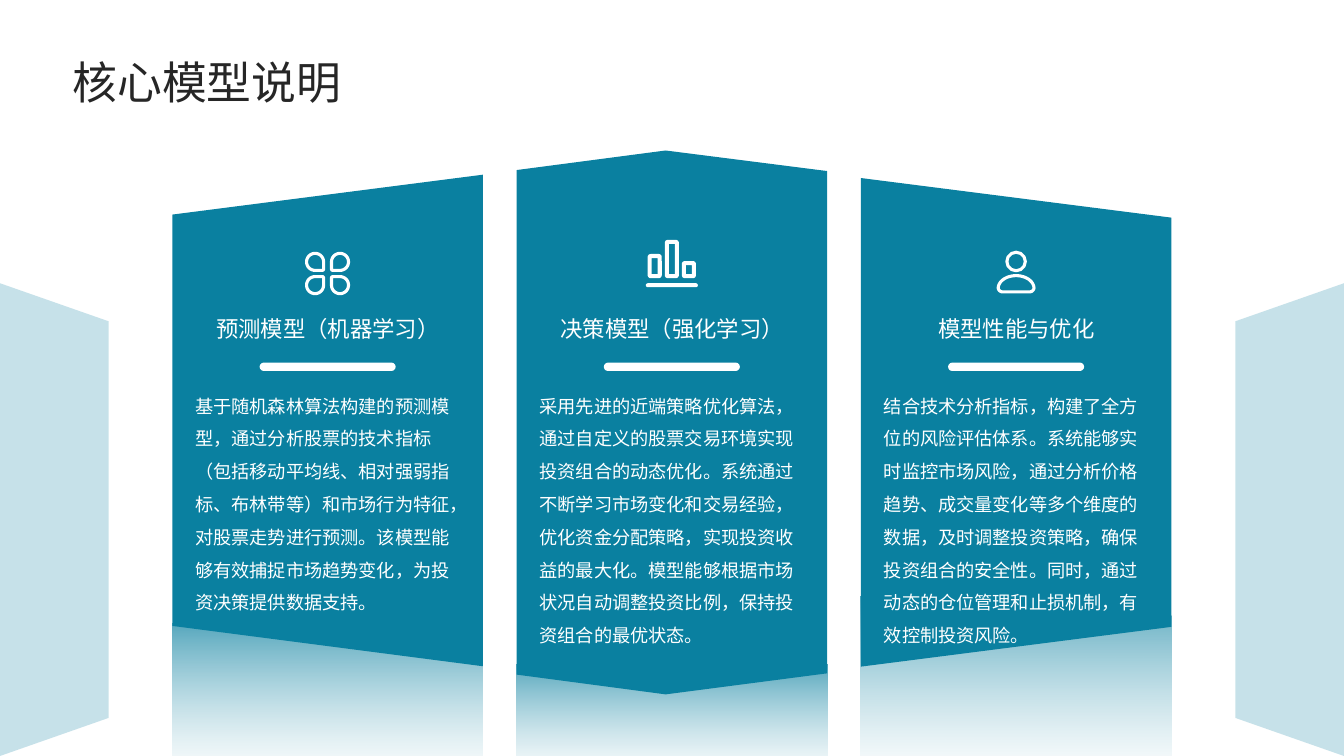
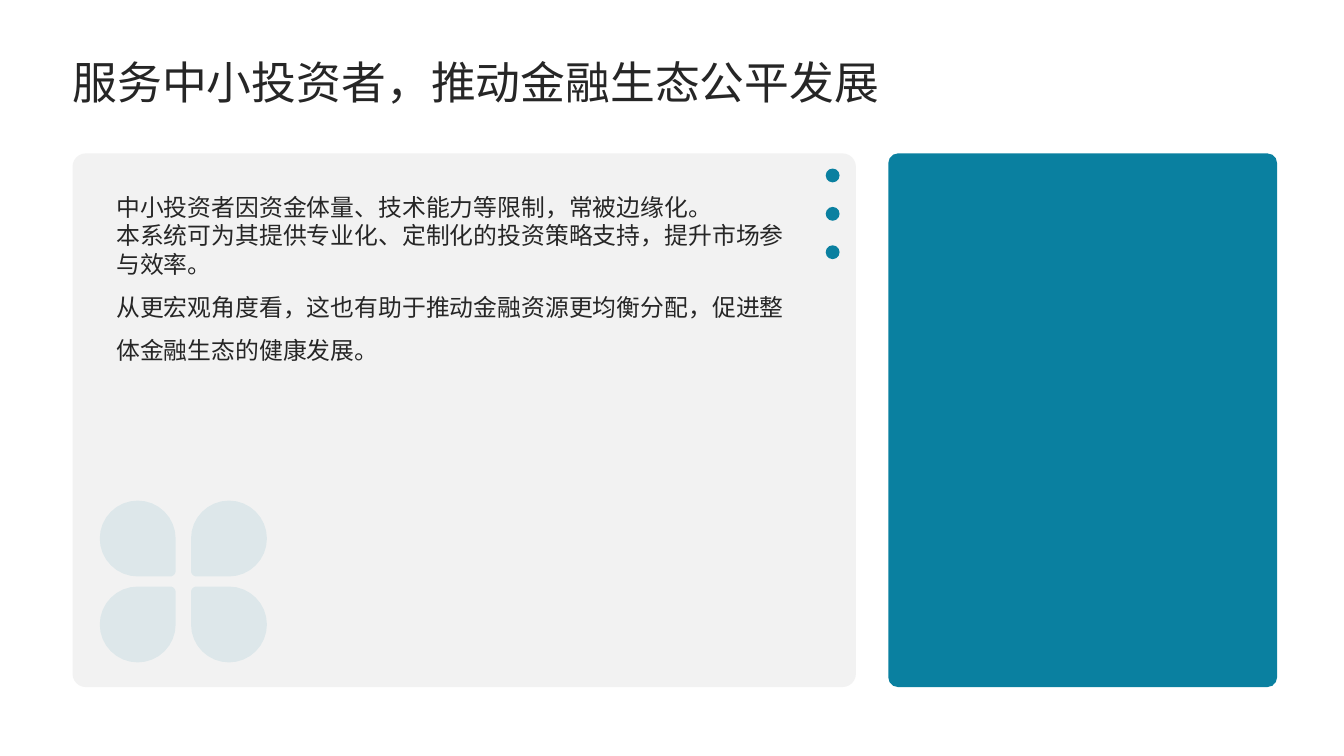
from math import cos, radians, sin

from lxml import etree
from pptx import Presentation
from pptx.dml.color import RGBColor
from pptx.enum import shapes, text
from pptx.oxml.ns import qn
from pptx.util import Pt

TEAL = RGBColor(0x0A, 0x80, 0xA0)
WHITE = RGBColor(0xFF, 0xFF, 0xFF)
GREY = RGBColor(0xF2, 0xF2, 0xF2)
INK = RGBColor(0x26, 0x26, 0x26)
FONT = "Noto Sans CJK SC"
SLIDE_W, SLIDE_H = 960, 540
TITLE_BOX = (51.8, 38.2, 855.4, 36.7)
TITLE_ONLY, TITLE_AND_BODY = 5, 1
RECT = shapes.MSO_SHAPE.ROUNDED_RECTANGLE
OVAL = shapes.MSO_SHAPE.OVAL

# Card outlines are (share of card width, y) pairs.
CARD_LEFT, CARD_STEP, CARD_W = 123.1, 245.9, 221.8
TEXT_INSET, TEXT_W = 16.5, 189.4
RULE_W, RULE_H, RULE_TOP = 97.2, 6, 259
FADE_BOTTOM = 557.3
CARDS = [
    {
        "title": "预测模型（机器学习）",
        "body": "基于随机森林算法构建的预测模型，通过分析股票的技术指标（包括移动平均线、相对强弱指标、布林带等）"
                "和市场行为特征，对股票走势进行预测。该模型能够有效捕捉市场趋势变化，为投资决策提供数据支持。",
        "panel": [(0, 153.3), (1, 124.8), (1, 475.9), (0, 447.1)],
        "fade": [(0, 445.7), (1, 445.7)],
        "icon": "petals",
    },
    {
        "title": "决策模型（强化学习）",
        "body": "采用先进的近端策略优化算法，通过自定义的股票交易环境实现投资组合的动态优化。系统通过不断学习市场变化"
                "和交易经验，优化资金分配策略，实现投资收益的最大化。模型能够根据市场状况自动调整投资比例，"
                "保持投资组合的最优状态。",
        "panel": [(0, 121.5), (0.48, 107.5), (1, 122.2), (1, 481), (0.48, 496), (0, 481.9)],
        "fade": [(0, 474.5), (1, 474.5)],
        "icon": "chart",
    },
    {
        "title": "模型性能与优化",
        "body": "结合技术分析指标，构建了全方位的风险评估体系。系统能够实时监控市场风险，通过分析价格趋势、"
                "成交量变化等多个维度的数据，及时调整投资策略，确保投资组合的安全性。同时，通过动态的仓位管理"
                "和止损机制，有效控制投资风险。",
        "panel": [(0, 127.2), (1, 155.5), (1, 447.8), (0, 476.2)],
        "fade": [(0, 426.2), (0.48, 426.2), (1, 440)],
        "icon": "person",
    },
]
SIDE_WING = [(0, 202.3), (77.6, 229.5), (77.6, 512.8), (0, 540)]

SERVICE_TITLE = "服务中小投资者，推动金融生态公平发展"
SERVICE_TEXT = [  # text, line spacing
    ("中小投资者因资金体量、技术能力等限制，常被边缘化。", 1.0),
    ("本系统可为其提供专业化、定制化的投资策略支持，提升市场参与效率。", 1.0),
    ("从更宏观角度看，这也有助于推动金融资源更均衡分配，促进整体金融生态的健康发展。", 1.5),
]
SERVICE_PANELS = [((51.8, 109.6, 559.6, 381.2), GREY), ((634.5, 109.6, 277.7, 381.2), TEAL)]
DOT_LEFT, DOT_TOP, DOT_STEP, DOT_SIZE, DOT_COUNT = 589.8, 120.4, 27.4, 9.9, 3


def points(lengths):
    return [Pt(length) for length in lengths]


def set_alpha(color_parent, percent):
    color = next(color_parent.iter(qn("a:srgbClr")))
    etree.SubElement(color, qn("a:alpha")).set("val", str(percent * 1000))


def paint(shape, fill=None, alpha=None, line=None, weight=2.2):
    shape.shadow.inherit = False
    if fill is None:
        shape.fill.background()
    else:
        shape.fill.solid()
        shape.fill.fore_color.rgb = fill
        if alpha:
            set_alpha(shape._element.spPr, alpha)
    if line is None:
        shape.line.fill.background()
    else:
        shape.line.color.rgb = line
        shape.line.width = Pt(weight)
    return shape


def add_preset(page, kind, area, rounding=None, **look):
    shape = page.shapes.add_shape(kind, *points(area))
    if rounding is not None:
        shape.adjustments[0] = rounding
    return paint(shape, **look)


def add_outline(page, corners, **look):
    start, *rest = [points(corner) for corner in corners]
    builder = page.shapes.build_freeform(*start, scale=1.0)
    builder.add_line_segments(rest, close=True)
    return paint(builder.convert_to_shape(), **look)


def arc(cx, cy, rx, ry, start, end, steps=24):
    """Points along an ellipse, in clockwise degrees from the right."""
    angles = [radians(start + (end - start) * i / steps) for i in range(steps + 1)]
    return [(cx + rx * cos(a), cy + ry * sin(a)) for a in angles]


def add_petals(page, cx, cy, dx, dy, radius, corner, **look):
    """Four discs, each with a nearly square corner facing the centre."""
    inner = radius - corner
    petal = arc(0, 0, radius, radius, 90, 360) + arc(inner, inner, corner, corner, 0, 90, 6)
    for sx in (-1, 1):
        for sy in (-1, 1):
            add_outline(page, [(cx + sx * (dx - x), cy + sy * (dy - y)) for x, y in petal], **look)


def add_petal_icon(page, cx):
    add_petals(page, cx, 195.4, 8.9, 8.3, 6.1, 1, line=WHITE)


def add_chart_icon(page, cx):
    bar_w, step, bottom = 7.2, 12.2, 197.3
    for i, top in enumerate((182.9, 172.8, 187.9)):
        left = cx + (i - 1) * step - bar_w / 2
        add_preset(page, RECT, (left, top, bar_w, bottom - top), 0.1, line=WHITE, weight=2.9)
    add_preset(page, RECT, (cx - 18.6, 202.3, 37.2, 2.9), 0.5, fill=WHITE)


def add_person_icon(page, cx):
    head = 13.2
    add_preset(page, OVAL, (cx - head / 2, 180.2, head, head), line=WHITE)
    shoulders = (arc(cx, 206, 12.8, 9.1, 180, 360)
                 + arc(cx + 9.7, 205.4, 3.1, 3.1, 0, 90, 8)
                 + arc(cx - 9.7, 205.4, 3.1, 3.1, 90, 180, 8))
    add_outline(page, shoulders, line=WHITE)


ICONS = {"petals": add_petal_icon, "chart": add_chart_icon, "person": add_person_icon}


def write(box, lines, size, color, align=text.PP_ALIGN.LEFT, anchor=text.MSO_ANCHOR.TOP):
    """Fill a text shape with (text, line spacing) paragraphs."""
    frame = box.text_frame
    frame.word_wrap = True
    frame.auto_size = text.MSO_AUTO_SIZE.NONE
    frame.vertical_anchor = anchor
    frame.margin_left = frame.margin_top = frame.margin_right = frame.margin_bottom = 0
    for i, (words, spacing) in enumerate(lines):
        para = frame.add_paragraph() if i else frame.paragraphs[0]
        para.alignment = align
        para.line_spacing = spacing
        para.space_before = para.space_after = Pt(0)
        if box.is_placeholder:
            props = para._p.get_or_add_pPr()
            props.set("marL", "0")
            props.set("indent", "0")
            etree.SubElement(props, qn("a:buNone"))
        span = para.add_run()
        span.text = words
        span.font.size = Pt(size)
        span.font.color.rgb = color
        span.font.name = FONT
        etree.SubElement(span._r.get_or_add_rPr(), qn("a:ea")).set("typeface", FONT)


def place(box, area):
    box.left, box.top, box.width, box.height = points(area)
    return box


def add_page(deck, layout, title):
    page = deck.slides.add_slide(deck.slide_layouts[layout])
    write(place(page.shapes.title, TITLE_BOX), [(title, 1.1)], 32, INK,
          anchor=text.MSO_ANCHOR.MIDDLE)
    return page


def add_fade(page, corners):
    shape = add_outline(page, corners)
    shape.fill.gradient()
    shape.fill.gradient_angle = 270
    for stop, color, alpha in zip(shape.fill.gradient_stops, (TEAL, WHITE), (69, 35)):
        stop.color.rgb = color
        set_alpha(stop._gs, alpha)


def add_card(page, card, left):
    def across(pairs):
        return [(left + share * CARD_W, y) for share, y in pairs]

    center = left + CARD_W / 2
    add_fade(page, across(card["fade"] + [(1, FADE_BOTTOM), (0, FADE_BOTTOM)]))
    add_outline(page, across(card["panel"]), fill=TEAL)
    ICONS[card["icon"]](page, center)
    add_preset(page, RECT, (center - RULE_W / 2, RULE_TOP, RULE_W, RULE_H), 0.5, fill=WHITE)
    text_left = left + TEXT_INSET
    heading = page.shapes.add_textbox(*points((text_left, 200.2, TEXT_W, 43.9)))
    write(heading, [(card["title"], 1.3)], 16, WHITE,
          align=text.PP_ALIGN.CENTER, anchor=text.MSO_ANCHOR.BOTTOM)
    body = page.shapes.add_textbox(*points((text_left, 274.3, TEXT_W, 165)))
    write(body, [(card["body"], 1.5)], 13, WHITE)


def add_models_page(deck):
    page = add_page(deck, TITLE_ONLY, "核心模型说明")
    for i, card in enumerate(CARDS):
        add_card(page, card, CARD_LEFT + i * CARD_STEP)
    add_outline(page, SIDE_WING, fill=TEAL, alpha=23)
    add_outline(page, [(SLIDE_W - x, y) for x, y in SIDE_WING], fill=TEAL, alpha=23)


def add_service_page(deck):
    page = add_page(deck, TITLE_AND_BODY, SERVICE_TITLE)
    body = page.placeholders[1]
    for area, color in SERVICE_PANELS:
        add_preset(page, RECT, area, 0.025, fill=color)
    add_petals(page, 131, 415.4, 32.6, 30.7, 27.1, 4, fill=TEAL, alpha=9)
    write(place(body, (83, 137.5, 488.2, 331.9)), SERVICE_TEXT, 17, INK)
    page.shapes._spTree.append(body._element)  # bring the text in front of its panel
    for i in range(DOT_COUNT):
        add_preset(page, OVAL, (DOT_LEFT, DOT_TOP + i * DOT_STEP, DOT_SIZE, DOT_SIZE), fill=TEAL)


def main():
    deck = Presentation()
    deck.slide_width, deck.slide_height = Pt(SLIDE_W), Pt(SLIDE_H)
    add_models_page(deck)
    add_service_page(deck)
    deck.save("out.pptx")


if __name__ == "__main__":
    main()
